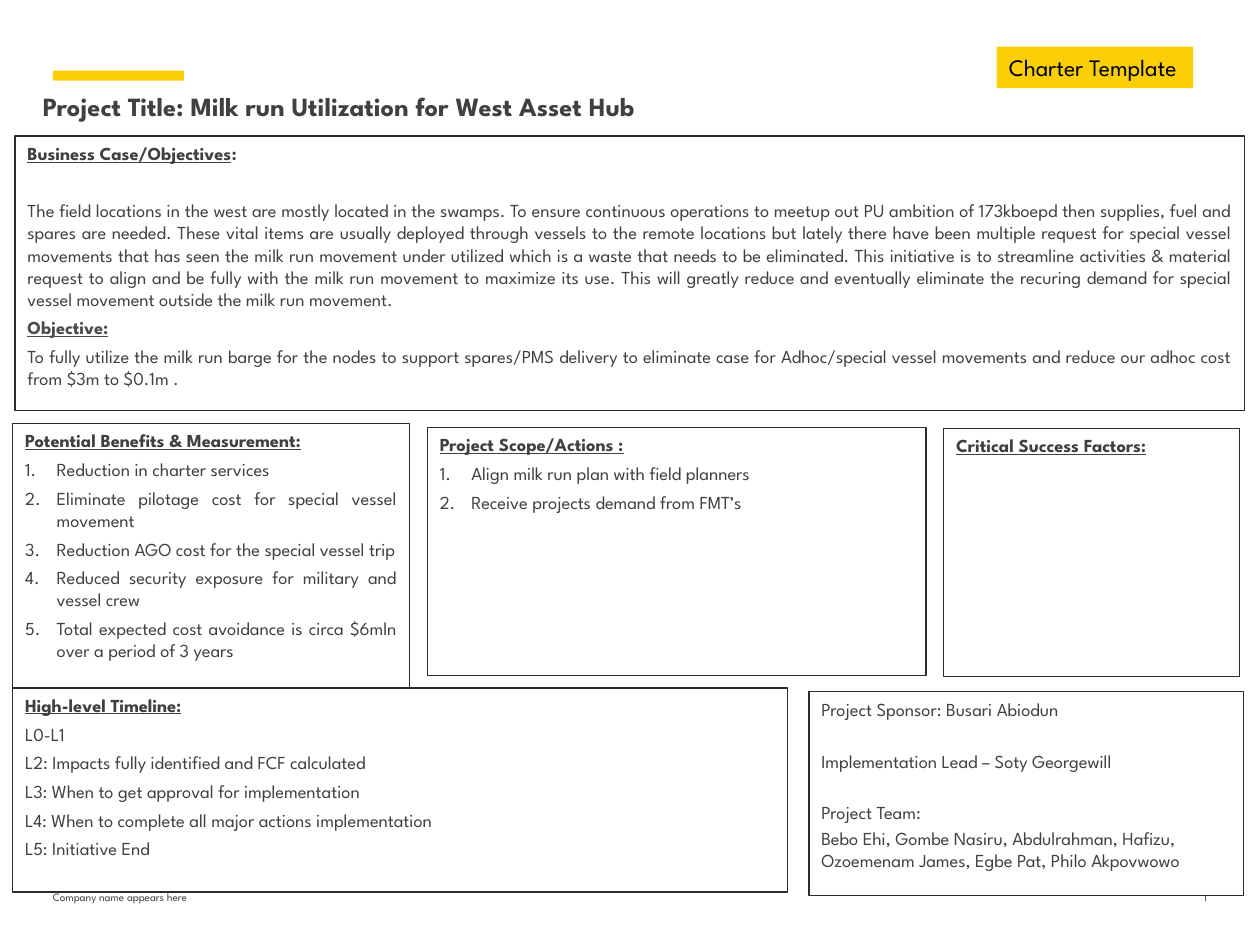
from dataclasses import dataclass
from typing import NamedTuple

from lxml.etree import SubElement
from pptx import Presentation
from pptx.dml.color import RGBColor
from pptx.enum.shapes import MSO_SHAPE as Kind
from pptx.enum.text import MSO_ANCHOR as Anchor, MSO_AUTO_SIZE as Auto, PP_ALIGN as Align
from pptx.oxml.ns import qn
from pptx.util import Inches, Pt

FACE = "League Spartan"
GOLD = RGBColor(0xFB, 0xCE, 0x07)
WHITE = RGBColor(0xFF, 0xFF, 0xFF)
BLACK = RGBColor(0, 0, 0)
EDGE = RGBColor(0x2C, 0x2C, 0x2C)
INK = RGBColor(0x40, 0x40, 0x40)
GREY = RGBColor(0x4A, 0x4A, 0x4A)


class Para(NamedTuple):
    text: str
    head: bool = False
    num: bool = False
    gap: float = 0
    tail: str = ""
    color: RGBColor = INK


@dataclass
class Panel:
    area: tuple[float, float, float, float]
    paras: list[Para]
    align: Align = Align.JUSTIFY
    before: float = 0
    after: float = 3.8
    slot: int | None = None


def head(text: str, **more) -> Para:
    return Para(text, head=True, **more)


def steps(*texts: str) -> list[Para]:
    return [Para(text, num=True) for text in texts]


def place(shape, area: tuple) -> None:
    shape.left, shape.top, shape.width, shape.height = map(Inches, area)


def add_run(para, text: str, size: float, color: RGBColor, **look) -> None:
    run = para.add_run()
    run.text = text
    for key, value in {"name": FACE, "size": Pt(size), **look}.items():
        setattr(run.font, key, value)
    run.font.color.rgb = color


def set_bullet(para, num: bool) -> None:
    props = para._p.get_or_add_pPr()
    props.set("marL", str(Inches(0.25) if num else 0))
    props.set("indent", str(Inches(-0.25) if num else 0))
    if num:
        SubElement(props, qn("a:buFont"), typeface="+mj-lt")
        SubElement(props, qn("a:buAutoNum"), type="arabicPeriod")
    else:
        SubElement(props, qn("a:buNone"))


def add_rect(slide, area: tuple, fill: RGBColor):
    shape = slide.shapes.add_shape(Kind.RECTANGLE, *map(Inches, area))
    shape.shadow.inherit = False
    shape.fill.solid()
    shape.fill.fore_color.rgb = fill
    shape.line.fill.background()
    return shape


def set_frame(frame, inset: bool = False, wrap: bool = True) -> None:
    look = {"word_wrap": wrap, "auto_size": Auto.NONE, "vertical_anchor": Anchor.TOP}
    if inset:
        look |= dict.fromkeys(("margin_left", "margin_top", "margin_right"), 0)
    for key, value in look.items():
        setattr(frame, key, value)


def add_panel(slide, panel: Panel) -> None:
    if panel.slot is None:
        shape = add_rect(slide, panel.area, WHITE)
    else:
        shape = slide.placeholders[panel.slot]
        place(shape, panel.area)
        shape.fill.solid()
        shape.fill.fore_color.rgb = WHITE
    shape.line.color.rgb = EDGE
    shape.line.width = Pt(0.75)
    frame = shape.text_frame
    set_frame(frame)
    for i, item in enumerate(panel.paras):
        para = frame.add_paragraph() if i else frame.paragraphs[0]
        set_bullet(para, item.num)
        para.alignment = panel.align
        para.space_before = Pt(panel.before + item.gap if i else 0)
        para.space_after = Pt(panel.after)
        add_run(para, item.text, 10.5, item.color, bold=item.head, underline=item.head)
        if item.tail:
            add_run(para, item.tail, 10.5, item.color, bold=item.head)


def add_note(slide, area: tuple, text: str, align: Align) -> None:
    box = slide.shapes.add_textbox(*map(Inches, area))
    set_frame(box.text_frame, inset=True)
    para = box.text_frame.paragraphs[0]
    para.alignment = align
    add_run(para, text, 6.4, INK)


PANELS = [
    Panel((3.39, 3.39, 3.96, 1.97), [
        head("Project Scope/Actions :"),
        *steps("Align milk run plan with field planners",
               "Receive projects demand from FMT’s"),
    ], slot=2),
    Panel((0.1, 5.46, 6.15, 1.62), [
        head("High-level Timeline:"),
        Para("L0-L1"),
        Para("L2: Impacts fully identified and FCF calculated"),
        Para("L3: When to get approval for implementation"),
        Para("L4: When to complete all major actions implementation"),
        Para("L5: Initiative End"),
    ]),
    Panel((7.49, 3.4, 2.35, 1.97), [head("Critical Success Factors:")]),
    Panel((0.1, 3.36, 3.15, 2.1), [
        head("Potential Benefits & Measurement:"),
        *steps("Reduction in charter services",
               "Eliminate pilotage cost for special vessel movement",
               "Reduction AGO cost for the special vessel trip",
               "Reduced security exposure for military and vessel crew",
               "Total expected cost avoidance is circa $6mln over a period of 3 years"),
    ], slot=1),
    Panel((6.42, 5.49, 3.45, 1.62), [
        Para("Project Sponsor: Busari Abiodun"),
        Para("Implementation Lead – Soty Georgewill", gap=14.8),
        Para("Project Team:", gap=14.8),
        Para("Bebo Ehi, Gombe Nasiru, Abdulrahman, Hafizu, Ozoemenam James, "
             "Egbe Pat, Philo Akpovwowo"),
    ], align=Align.LEFT, before=2.2, after=0),
    Panel((0.12, 1.08, 9.76, 2.18), [
        head("Business Case/Objectives", tail=":"),
        Para("The field locations in the west are mostly located in the swamps. To ensure "
             "continuous operations to meetup out PU ambition of 173kboepd then supplies, fuel "
             "and spares are needed. These vital items are usually deployed through vessels to "
             "the remote locations but lately there have been multiple request for special "
             "vessel movements that has seen the milk run movement under utilized which is a "
             "waste that needs to be eliminated. This initiative is to streamline activities & "
             "material request to align and be fully with the milk run movement to maximize its "
             "use. This will greatly reduce and eventually eliminate the recuring demand for "
             "special vessel movement outside the milk run movement.", gap=16.4),
        head("Objective:", color=GREY),
        Para("To fully utilize the milk run barge for the nodes to support spares/PMS delivery "
             "to eliminate case for Adhoc/special vessel movements and reduce our adhoc cost "
             "from $3m to $0.1m ."),
    ]),
]


def main() -> None:
    deck = Presentation()
    deck.slide_width, deck.slide_height = Inches(10), Inches(7.5)
    slide = deck.slides.add_slide(deck.slide_layouts[3])

    add_rect(slide, (0.42, 0.56, 1.04, 0.08), GOLD)
    title = slide.shapes.title
    place(title, (0.34, 0.72, 9.33, 0.44))
    set_frame(title.text_frame, inset=True)
    para = title.text_frame.paragraphs[0]
    para.alignment = Align.LEFT
    add_run(para, "Project Title: Milk run Utilization for West Asset Hub", 15, INK, bold=True)

    add_note(slide, (0.42, 7.07, 2.76, 0.26), "Company name appears here", Align.LEFT)
    add_note(slide, (9.29, 7.07, 0.29, 0.26), "1", Align.RIGHT)

    tag = add_rect(slide, (7.91, 0.37, 1.56, 0.33), GOLD)
    set_frame(tag.text_frame, wrap=False)
    para = tag.text_frame.paragraphs[0]
    para.alignment = Align.LEFT
    add_run(para, "Charter Template", 13.5, BLACK)

    for panel in PANELS:
        add_panel(slide, panel)
    deck.save("out.pptx")


if __name__ == "__main__":
    main()
